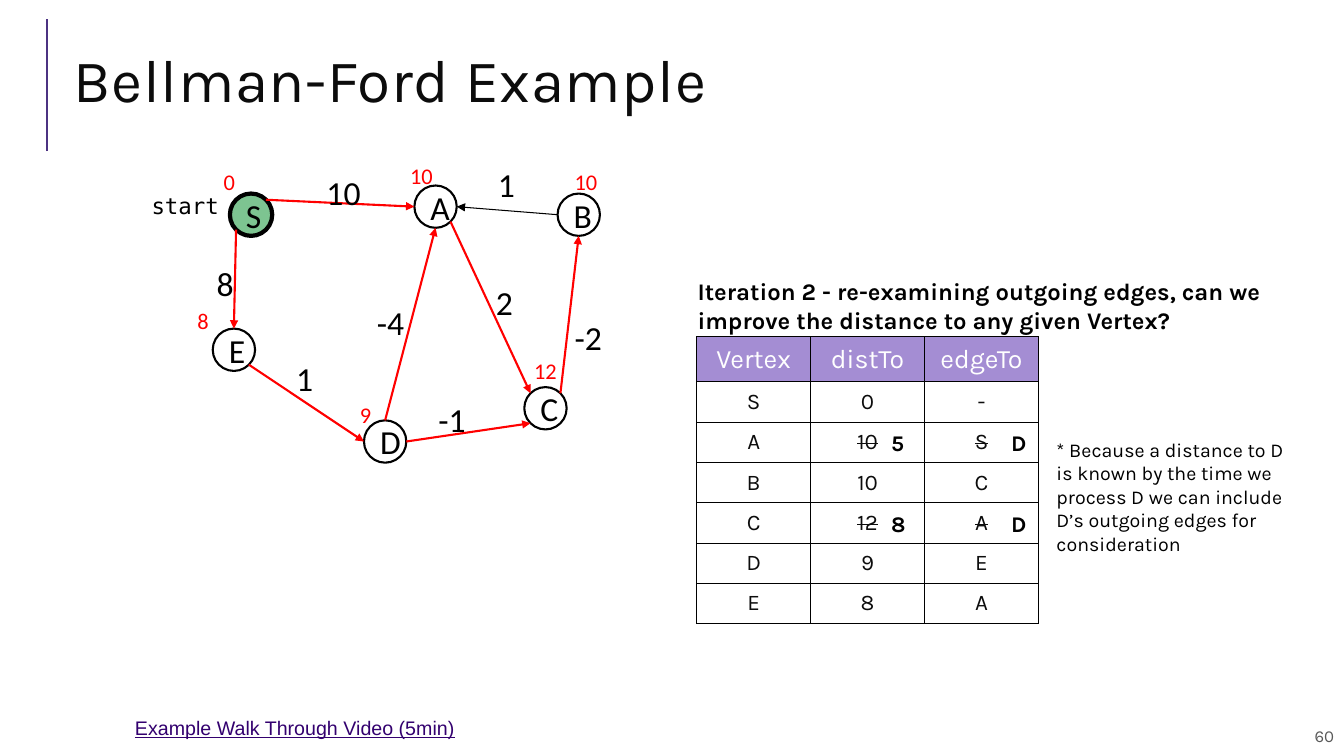
from math import cos, radians, sin

from pptx import Presentation
from pptx.dml.color import RGBColor
from pptx.enum.shapes import MSO_CONNECTOR as CONNECTOR, MSO_SHAPE as SHAPE
from pptx.enum.text import MSO_ANCHOR as ANCHOR, PP_ALIGN as ALIGN
from pptx.oxml import parse_xml
from pptx.oxml.ns import nsdecls
from pptx.oxml.xmlchemy import OxmlElement
from pptx.util import Inches, Pt

BLACK = RGBColor(0x00, 0x00, 0x00)
INK = RGBColor(0x0C, 0x0C, 0x0C)
WHITE = RGBColor(0xFF, 0xFF, 0xFF)
RED = RGBColor(0xFF, 0x00, 0x00)
GREEN = RGBColor(0x7D, 0xC4, 0x91)
LILAC = RGBColor(0xA4, 0x8D, 0xD3)
PURPLE = RGBColor(0x4C, 0x32, 0x82)
LINK = RGBColor(0x33, 0x00, 0x6F)
GREY = RGBColor(0x59, 0x59, 0x59)

# Content
TITLE = "Bellman-Ford Example"
QUESTION = ("Iteration 2 - re-examining outgoing edges, can we improve "
            "the distance to any given Vertex?")
REMARK = ("* Because a distance to D is known by the time we process D "
          "we can include D’s outgoing edges for consideration")
VIDEO = "Example Walk Through Video (5min)"
PAGE = "60"

# Vertex: left and top of its circle
VERTICES = {"S": (2.28, 1.92), "A": (4.11, 1.84), "E": (2.11, 3.26),
            "D": (3.61, 4.17), "B": (5.53, 1.92), "C": (5.2, 3.84)}
START = "S"
DIAMETER = 0.42

# Edge: from vertex, side, to vertex, side, colour, line width
EDGES = [("S", "SW", "E", "N", RED, 1.5), ("E", "SE", "D", "W", RED, 1.5),
         ("S", "NE", "A", "W", RED, 1.5), ("B", "W", "A", "E", BLACK, 0.75),
         ("C", "NE", "B", "S", RED, 1.5), ("A", "SE", "C", "NW", RED, 1.5),
         ("D", "N", "A", "S", RED, 1.5), ("D", "E", "C", "SW", RED, 1.5)]
SIDES = ["E", "SE", "S", "SW", "W", "NW", "N", "NE"]

# Label: text, left, top, width
WEIGHTS = [("10", 3.14, 1.66, 0.54), ("1", 4.84, 1.58, 0.37),
           ("2", 4.82, 2.75, 0.54), ("-2", 5.6, 3.09, 0.67),
           ("-1", 4.25, 3.91, 0.54), ("1", 2.84, 3.5, 0.37),
           ("8", 2.05, 2.56, 0.37), ("-4", 3.64, 2.95, 0.54)]
DISTANCES = [("10", 3.97, 1.56, 0.54), ("10", 5.6, 1.62, 0.5),
             ("9", 3.47, 3.93, 0.36), ("8", 1.86, 3, 0.36),
             ("12", 5.2, 3.49, 0.54), ("0", 2.12, 1.62, 0.32)]

ROWS = [("Vertex", "distTo", "edgeTo"),
        ("S", "0", "-"), ("A", "10", "S"), ("B", "10", "C"),
        ("C", "12", "A"), ("D", "9", "E"), ("E", "8", "A")]
UPDATES = {2: ("5", "D"), 4: ("8", "D")}  # row: new distTo and edgeTo
UPDATE_LEFTS = (8.74, 9.93)
TABLE_LEFT, TABLE_TOP = 6.91, 3.34
COLUMN, HEADER, ROW = 1.13, 0.44, 0.4

prs = Presentation()
prs.slide_width, prs.slide_height = Inches(13.33), Inches(7.5)
slide = prs.slides.add_slide(prs.slide_layouts[5])
shapes = slide.shapes


def write(frame, text, size, font="Karla", color=BLACK, bold=False,
          align=ALIGN.LEFT, anchor=ANCHOR.TOP, inset=(0.1, 0.1)):
    frame.word_wrap = True
    frame.vertical_anchor = anchor
    frame.margin_left = frame.margin_right = Inches(inset[0])
    frame.margin_top = frame.margin_bottom = Inches(inset[1])
    frame.text = text
    paragraph = frame.paragraphs[0]
    paragraph.alignment = align
    run = paragraph.runs[0]
    run.font.size, run.font.name, run.font.bold = Pt(size), font, bold
    run.font.color.rgb = color
    return run


def label(text, left, top, width, height, size, **style):
    box = shapes.add_textbox(*map(Inches, (left, top, width, height)))
    return write(box.text_frame, text, size, **style)


def line(start, end, color, width, arrow=False):
    connector = shapes.add_connector(
        CONNECTOR.STRAIGHT, *map(Inches, (*start, *end)))
    connector.line.color.rgb = color
    connector.line.width = Pt(width)
    if arrow:
        head = OxmlElement("a:tailEnd")
        head.set("type", "triangle")
        connector.line._get_or_add_ln().append(head)
    connector._element.spPr.append(OxmlElement("a:effectLst"))


def rim(vertex, side):
    left, top = VERTICES[vertex]
    angle = radians(45 * SIDES.index(side))
    radius = DIAMETER / 2
    return (left + radius * (1 + cos(angle)), top + radius * (1 + sin(angle)))


# Title and its rule
line((0.47, 1.5), (0.47, 0.19), PURPLE, 1.5)
title = shapes.title
title.left, title.top = Inches(0.63), Inches(0.29)
title.width, title.height = Inches(12.23), Inches(1.11)
heading = write(title.text_frame, TITLE, 43, color=INK,
                anchor=ANCHOR.MIDDLE, inset=(0.1, 0.05))
heading.font._element.set("spc", "50")
title.text_frame.paragraphs[0].line_spacing = 0.8

# Distance table
table_frame = shapes.add_table(
    len(ROWS), 3, Inches(TABLE_LEFT), Inches(TABLE_TOP), Inches(3 * COLUMN),
    Inches(HEADER + ROW * (len(ROWS) - 1)))
table = table_frame.table
for column in table.columns:
    column.width = Inches(COLUMN)
for r, row in enumerate(ROWS):
    table.rows[r].height = Inches(ROW if r else HEADER)
    for c, value in enumerate(row):
        cell = table.cell(r, c)
        for edge in ("lnL", "lnR", "lnT", "lnB"):
            cell._tc.get_or_add_tcPr().append(parse_xml(
                f'<a:{edge} {nsdecls("a")} w="9525"><a:solidFill>'
                f'<a:srgbClr val="{BLACK}"/></a:solidFill></a:{edge}>'))
        cell.fill.solid()
        cell.fill.fore_color.rgb = WHITE if r else LILAC
        run = write(cell.text_frame, value, 16 if r else 19,
                    color=INK if r else WHITE, align=ALIGN.CENTER)
        cell.vertical_anchor = ANCHOR.MIDDLE
        cell.margin_left = cell.margin_right = Inches(0.07)
        cell.margin_top = cell.margin_bottom = Inches(0.07)
        if r in UPDATES and c:
            run.font._element.set("strike", "sngStrike")

# Graph vertices
label("start", 1.24, 1.78, 1.06, 0.52, 16, font="DejaVu Sans Mono",
      align=ALIGN.RIGHT, inset=(0.13, 0.13))
for name, (left, top) in VERTICES.items():
    circle = shapes.add_shape(
        SHAPE.OVAL, *map(Inches, (left, top, DIAMETER, DIAMETER)))
    circle.shadow.inherit = False
    if name == START:
        circle.fill.solid()
        circle.fill.fore_color.rgb = GREEN
    else:
        circle.fill.background()
    circle.line.color.rgb = BLACK
    circle.line.width = Pt(3 if name == START else 1.5)
    write(circle.text_frame, name, 24, font="Calibri", align=ALIGN.CENTER,
          anchor=ANCHOR.MIDDLE, inset=(0.1, 0.05))

# Graph edges with their weights, and distances found so far
for source, out_side, target, in_side, color, width in EDGES:
    line(rim(source, out_side), rim(target, in_side), color, width, arrow=True)
for labels, height, size, color in ((WEIGHTS, 0.5, 24, BLACK),
                                    (DISTANCES, 0.37, 16, RED)):
    for text, left, top, width in labels:
        label(text, left, top, width, height, size, font="Calibri",
              color=color, inset=(0.1, 0.05))

# Question, updated values and remark
label(QUESTION, 6.82, 2.65, 6.22, 0.77, 17, bold=True)
for r, values in UPDATES.items():
    for value, left in zip(values, UPDATE_LEFTS):
        label(value, left, 4.16 + (r - 2) * ROW, 0.36, 0.47, 16, bold=True)
label(REMARK, 10.38, 4.24, 2.59, 1.38, 14)

# Footer
video = label(VIDEO, 1.24, 7, 3.99, 0.44, 14, font="Arial", color=LINK)
video.font.underline = True
label(PAGE, 8.65, 7.1, 4.68, 0.4, 12, color=GREY, align=ALIGN.RIGHT,
      anchor=ANCHOR.MIDDLE)

prs.save("out.pptx")
